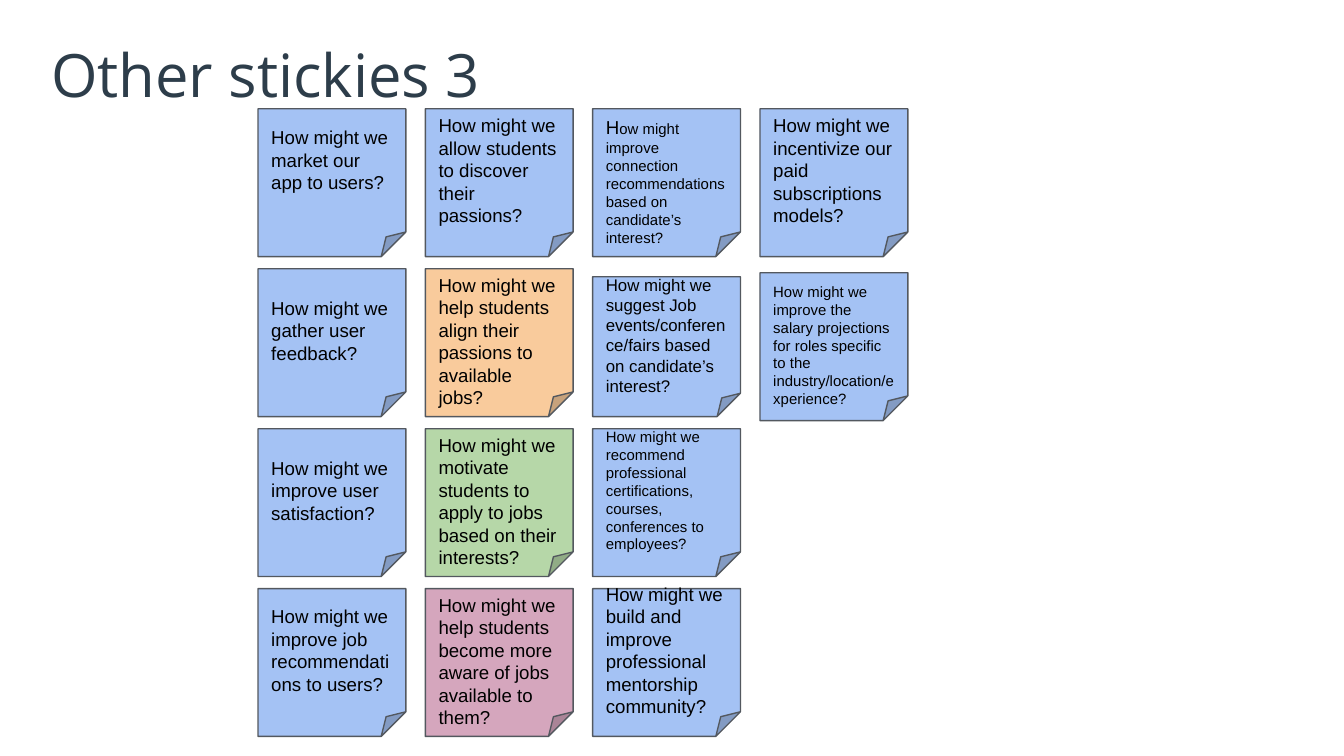
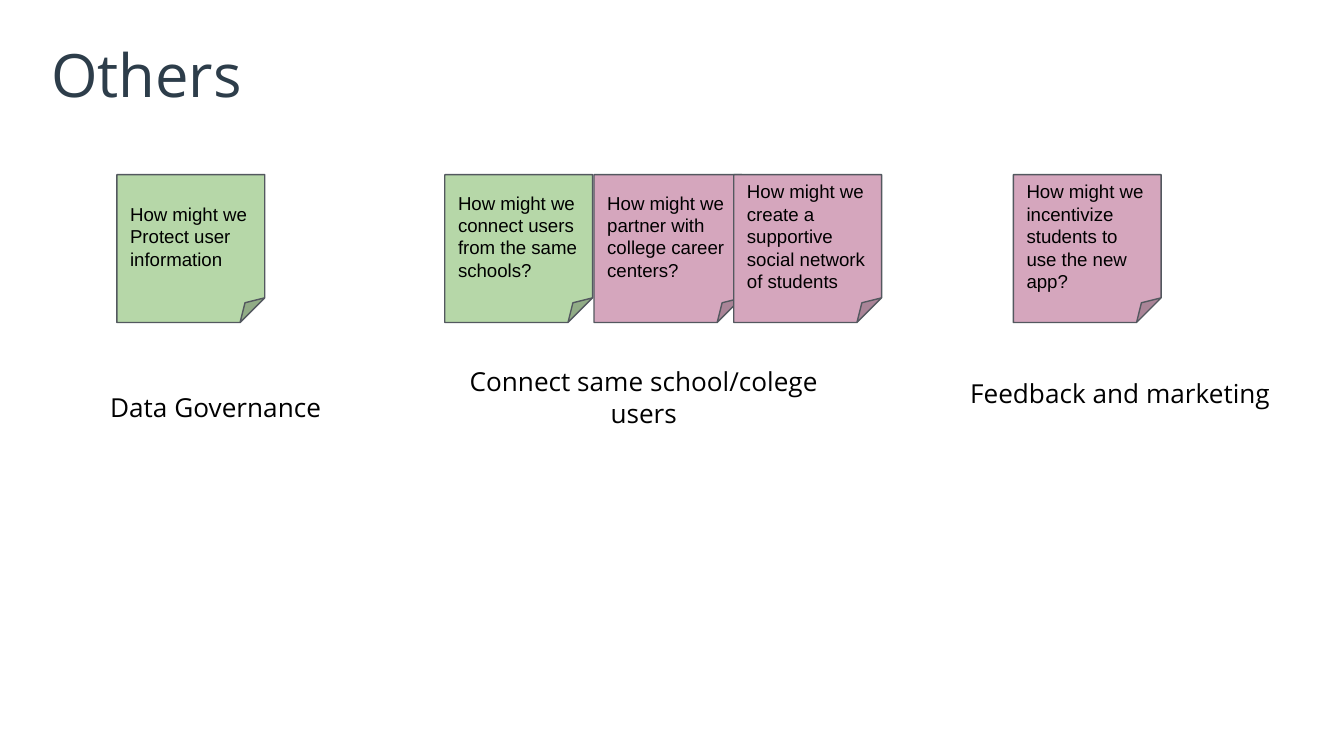
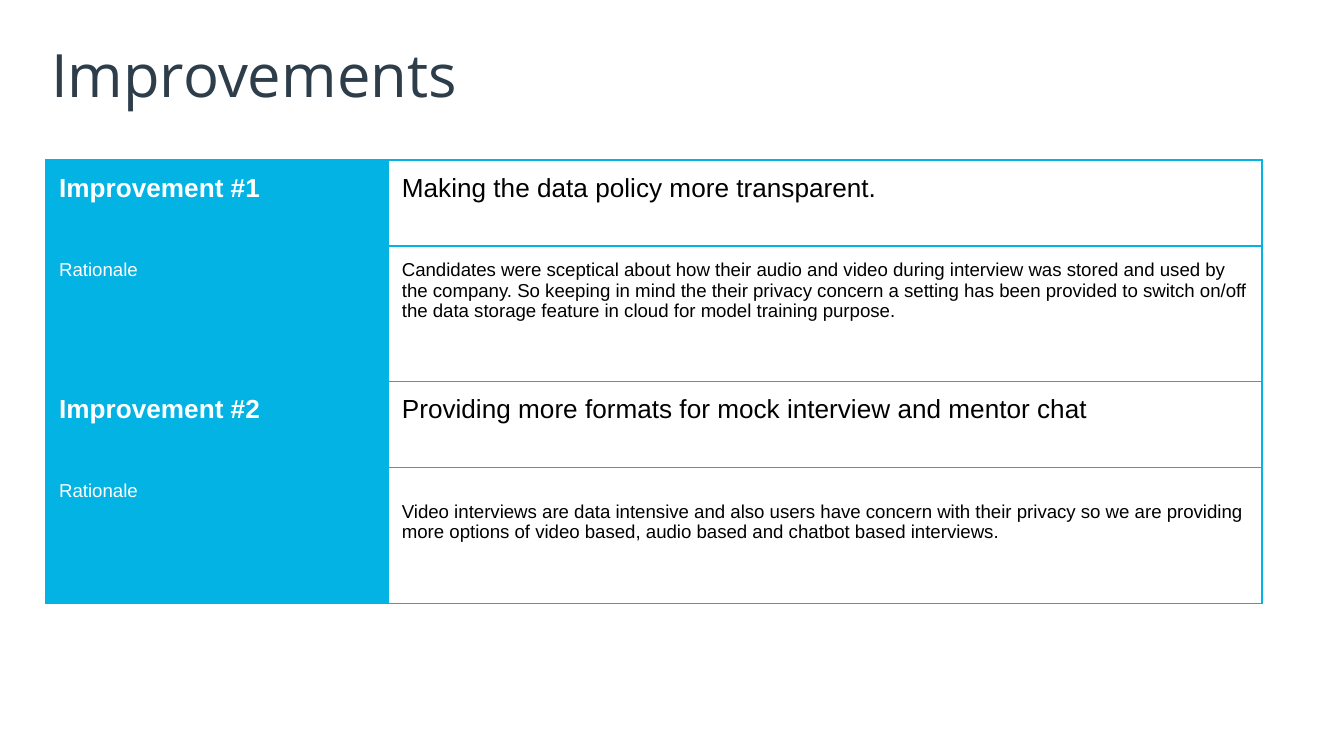
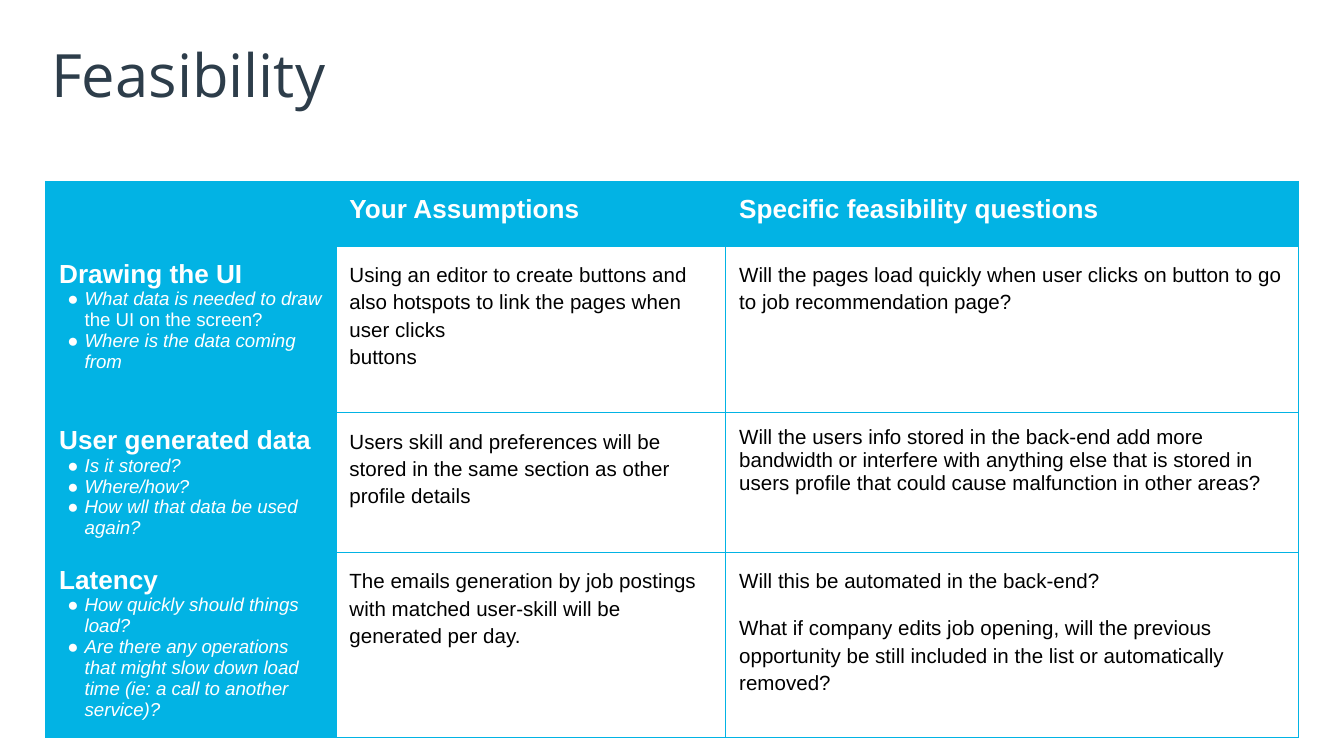
from lxml import etree
from pptx import Presentation
from pptx import util as u
from pptx.dml.color import RGBColor
from pptx.enum import shapes, text
from pptx.oxml.ns import qn

SLIDE_WIDTH = 10
SLIDE_HEIGHT = SLIDE_WIDTH * 9 / 16

BLUE, ORANGE, GREEN, PINK = "A4C2F4", "F9CB9C", "B6D7A8", "D5A6BD"
OUTLINE, INK, CYAN, BLACK, WHITE = "53585F", "2D3D4A", "02B3E4", "000000", "FFFFFF"
BODY_FONT, DISPLAY_FONT = "Arial", "Open Sans"

NOTE_SIZE = 1.1
NOTE_LINE = 0.16  # height of one line of note text
GRID_LEFT, GRID_TOP, COLUMN_STEP, ROW_STEP = 1.92, 0.81, 1.245, 1.19

# One list per grid column, top to bottom: text, colour, options of add_note
NOTE_COLUMNS = [
    [
        ("How might we market our app to users?", BLUE, {"shift": -1}),
        ("How might we gather user feedback?", BLUE, {}),
        ("How might we improve user satisfaction?", BLUE, {}),
        ("How might we improve job recommendations to users?", BLUE, {}),
    ],
    [
        ("How might we allow students to discover their passions?", BLUE, {}),
        ("How might we help students align their passions to available jobs?", ORANGE, {"shift": 1}),
        ("How might we motivate students to apply to jobs based on their interests?", GREEN, {"shift": 1}),
        ("How might we help students become more aware of jobs available to them?", PINK, {"shift": 1}),
    ],
    [
        ("How might improve connection recommendations based on candidate’s interest?", BLUE,
         {"size": 8, "initial_size": 10, "shift": 1}),
        ("How might we suggest Job events/conference/fairs based on candidate’s interest?", BLUE,
         {"size": 9, "drop": 0.06, "height": 1.04}),
        ("How might we recommend professional certifications, courses, conferences to employees?", BLUE,
         {"size": 8}),
        ("How might we build and improve professional mentorship community?", BLUE, {}),
    ],
    [
        ("How might we incentivize our paid subscriptions models?", BLUE, {}),
        ("How might we improve the salary projections for roles specific to the "
         "industry/location/experience?", BLUE, {"size": 8, "shift": 1, "drop": 0.03}),
    ],
]

OTHER_NOTES_TOP = 1.3
OTHER_NOTES = [
    (0.87, "How might we Protect user information", GREEN),
    (3.31, "How might we connect users from the same schools?", GREEN),
    (4.42, "How might we partner with college career centers?", PINK),
    (5.46, "How might we create a supportive social network of students", PINK),
    (7.54, "How might we incentivize students to use the new app?", PINK),
]
CAPTIONS = [  # left, top, width, text, alignment
    (7.12, 2.71, 2.87, "Feedback and marketing", text.PP_ALIGN.LEFT),
    (0.17, 2.81, 2.87, "Data Governance", text.PP_ALIGN.CENTER),
    (3.15, 2.62, 3.28, "Connect same school/colege users", text.PP_ALIGN.CENTER),
]

# Paragraph styles of the table cells
HEADING = {"size": 14, "color": WHITE, "bold": True}
LABEL = {"size": 10, "color": WHITE}
BULLET = {"size": 10, "color": WHITE, "italic": True, "bullet": True}
STATEMENT = {"size": 14, "color": BLACK}
REASON = {"size": 10, "color": BLACK}
ANSWER = {"size": 11, "color": BLACK, "line_spacing": 1.2}
TIGHT_ANSWER = {"size": 11, "color": BLACK}
NEXT_ANSWER = {**ANSWER, "space_before": 10.5}

# Each cell is a list of (text, style); a text may be (italic part, upright part)
IMPROVEMENTS = [
    [[("Improvement #1", HEADING)], [("Making the data policy more transparent.", STATEMENT)]],
    [[("Rationale", LABEL)],
     [("Candidates were sceptical about how their audio and video during interview was stored and used "
       "by the company. So keeping in mind the their privacy concern a setting has been provided to "
       "switch on/off the data storage feature in cloud for model training purpose.", REASON)]],
    [[("Improvement #2", HEADING)],
     [("Providing more formats for mock interview and mentor chat", STATEMENT)]],
    [[("Rationale", LABEL)],
     [("Video interviews are data intensive and also users have concern with their privacy so we are "
       "providing more options of video based, audio based and chatbot based interviews.", REASON)]],
]
FEASIBILITY = [
    [[("", LABEL)], [("Your Assumptions", HEADING)], [("Specific feasibility questions", HEADING)]],
    [[("Drawing the UI", HEADING),
      (("What data is needed to draw ", "the UI on the screen?"), BULLET),
      ("Where is the data coming from", BULLET)],
     [("Using an editor to create buttons and also hotspots to link the pages when user clicks", ANSWER),
      ("buttons", ANSWER)],
     [("Will the pages load quickly when user clicks on button to go to job recommendation page?", ANSWER)]],
    [[("User generated data", HEADING),
      ("Is it stored?", BULLET),
      ("Where/how?", BULLET),
      ("How wll that data be used again?", BULLET)],
     [("Users skill and preferences will be stored in the same section as other profile details", ANSWER)],
     [("Will the users info stored in the back-end add more bandwidth or interfere with anything else "
       "that is stored in users profile that could cause malfunction in other areas?", TIGHT_ANSWER)]],
    [[("Latency", HEADING),
      ("How quickly should things load?", BULLET),
      ("Are there any operations that might slow down load time (ie: a call to another service)?", BULLET)],
     [("The emails generation by job postings with matched user-skill will be generated per day.", ANSWER)],
     [("Will this be automated in the back-end?", ANSWER),
      ("What if company edits job opening, will the previous opportunity be still included in the list "
       "or automatically removed?", NEXT_ANSWER)]],
]


def rgb(color):
    return RGBColor.from_string(color)


def set_font(font, size, color, name=BODY_FONT, bold=False, italic=False):
    font.name, font.size, font.bold, font.italic = name, u.Pt(size), bold, italic
    font.color.rgb = rgb(color)


def set_margins(frame, margin):
    frame.margin_left = frame.margin_right = u.Inches(margin)
    frame.margin_top = frame.margin_bottom = u.Inches(margin)


def add_titled_slide(presentation, title_text):
    slide = presentation.slides.add_slide(presentation.slide_layouts.get_by_name("Title Only"))
    title = slide.shapes.title
    title.left, title.top, title.width, title.height = map(u.Inches, (0.34, 0.23, 9.32, 0.63))
    frame = title.text_frame
    frame.text = title_text
    frame.auto_size = text.MSO_AUTO_SIZE.NONE
    frame.vertical_anchor = text.MSO_ANCHOR.MIDDLE
    set_margins(frame, 0.04)
    paragraph = frame.paragraphs[0]
    paragraph.alignment = text.PP_ALIGN.LEFT
    set_font(paragraph.font, 32, INK, DISPLAY_FONT)
    return slide


def add_note(slide, left, top, words, color, size=10, initial_size=None, shift=0, drop=0, height=NOTE_SIZE):
    """Add a sticky note; shift moves its text down by half lines, drop moves the whole note."""
    note = slide.shapes.add_shape(
        shapes.MSO_SHAPE.FOLDED_CORNER,
        u.Inches(left), u.Inches(top + drop), u.Inches(NOTE_SIZE), u.Inches(height))
    note.shadow.inherit = False
    note.fill.solid()
    note.fill.fore_color.rgb = rgb(color)
    note.line.color.rgb = rgb(OUTLINE)
    note.line.width = u.Pt(0.75)
    frame = note.text_frame
    frame.word_wrap = True
    frame.vertical_anchor = text.MSO_ANCHOR.MIDDLE
    set_margins(frame, 0.1)
    frame.margin_top = u.Inches(0.1 + NOTE_LINE * max(shift, 0))
    frame.margin_bottom = u.Inches(0.1 + NOTE_LINE * max(-shift, 0))
    paragraph = frame.paragraphs[0]
    paragraph.alignment = text.PP_ALIGN.LEFT
    set_font(paragraph.font, size, BLACK)
    if initial_size:
        initial = paragraph.add_run()
        initial.text, words = words[0], words[1:]
        initial.font.size = u.Pt(initial_size)
    paragraph.add_run().text = words


def add_caption(slide, left, top, width, words, alignment):
    caption = slide.shapes.add_textbox(u.Inches(left), u.Inches(top), u.Inches(width), u.Inches(0.57))
    frame = caption.text_frame
    frame.word_wrap = True
    set_margins(frame, 0.1)
    paragraph = frame.paragraphs[0]
    paragraph.text = words
    paragraph.alignment = alignment
    set_font(paragraph.font, 14, BLACK, DISPLAY_FONT)


def add_bullet(paragraph):
    properties = paragraph._p.get_or_add_pPr()
    properties.set("marL", str(u.Inches(0.19)))
    properties.set("indent", str(u.Inches(-0.13)))
    bullet_color = etree.SubElement(properties, qn("a:buClr"))
    etree.SubElement(bullet_color, qn("a:srgbClr"), val=WHITE)
    etree.SubElement(properties, qn("a:buFont"), typeface=BODY_FONT)
    etree.SubElement(properties, qn("a:buChar"), char="●")


def write_paragraph(paragraph, words, size, color, bold=False, italic=False,
                    bullet=False, line_spacing=None, space_before=None):
    if line_spacing:
        paragraph.line_spacing = line_spacing
    if space_before:
        paragraph.space_before = u.Pt(space_before)
    if bullet:
        add_bullet(paragraph)
    set_font(paragraph.font, size, color, bold=bold, italic=italic)
    if isinstance(words, tuple):
        for part, is_italic in zip(words, (True, False)):
            run = paragraph.add_run()
            run.text = part
            run.font.italic = is_italic
    elif words:
        paragraph.add_run().text = words


def set_borders(cell):
    properties = cell._tc.get_or_add_tcPr()
    for side in ("lnL", "lnR", "lnT", "lnB"):
        line = etree.SubElement(properties, qn(f"a:{side}"), w=str(u.Pt(0.75)))
        fill = etree.SubElement(line, qn("a:solidFill"))
        etree.SubElement(fill, qn("a:srgbClr"), val=CYAN)


def add_grid(slide, top, widths, heights, rows, header_rows=0):
    """Add a table whose first column and header rows are cyan."""
    table = slide.shapes.add_table(
        len(heights), len(widths), u.Inches(0.34), u.Inches(top),
        u.Inches(sum(widths)), u.Inches(sum(heights))).table
    table.first_row = table.horz_banding = False
    for column, width in zip(table.columns, widths):
        column.width = u.Inches(width)
    for row_index, (row, height) in enumerate(zip(rows, heights)):
        table.rows[row_index].height = u.Inches(height)
        for column_index, content in enumerate(row):
            cell = table.cell(row_index, column_index)
            set_margins(cell, 0.1)
            set_borders(cell)
            if column_index == 0 or row_index < header_rows:
                cell.fill.solid()
                cell.fill.fore_color.rgb = rgb(CYAN)
            else:
                cell.fill.background()
            frame = cell.text_frame
            for index, (words, style) in enumerate(content):
                paragraph = frame.add_paragraph() if index else frame.paragraphs[0]
                write_paragraph(paragraph, words, **style)
    return table


def main():
    presentation = Presentation()
    presentation.slide_width = u.Inches(SLIDE_WIDTH)
    presentation.slide_height = u.Inches(SLIDE_HEIGHT)

    slide = add_titled_slide(presentation, "Other stickies 3")
    for column_index, notes in enumerate(NOTE_COLUMNS):
        for row_index, (words, color, options) in enumerate(notes):
            add_note(slide, GRID_LEFT + column_index * COLUMN_STEP, GRID_TOP + row_index * ROW_STEP,
                     words, color, **options)

    slide = add_titled_slide(presentation, "Others")
    for left, words, color in OTHER_NOTES:
        add_note(slide, left, OTHER_NOTES_TOP, words, color)
    for caption in CAPTIONS:
        add_caption(slide, *caption)

    slide = add_titled_slide(presentation, "Improvements")
    table = add_grid(slide, 1.19, [2.55, 6.5], [0.64, 1.01] * 2, IMPROVEMENTS)
    table.cell(3, 1).margin_top = u.Inches(0.25)

    slide = add_titled_slide(presentation, "Feasibility")
    add_grid(slide, 1.35, [2.16, 2.9, 4.26], [0.48, 1.24, 1.04, 1.38], FEASIBILITY, header_rows=1)

    presentation.save("out.pptx")


if __name__ == "__main__":
    main()
